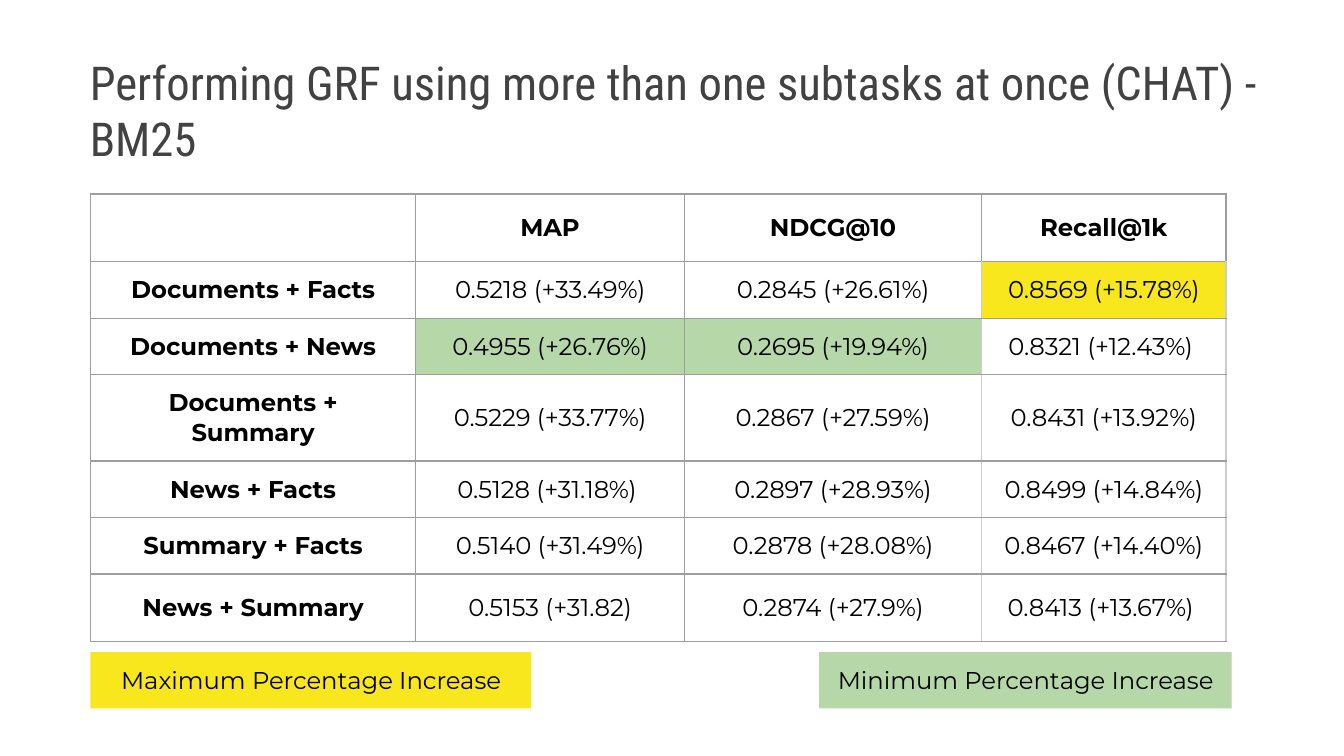
from lxml import etree
from pptx import Presentation
from pptx.dml.color import RGBColor
from pptx.enum.shapes import MSO_SHAPE
from pptx.enum.text import MSO_ANCHOR, PP_ALIGN
from pptx.oxml.ns import qn
from pptx.util import Inches, Pt

COLORS = {"text": "000000", "title": "424242", "max": "F8E71C", "min": "B6D7A8",
          "white": "FFFFFF", "line": "9E9E9E", "pale": "CCCCCC"}

# A 16:9 slide
prs = Presentation()
prs.slide_width = Inches(10)
prs.slide_height = prs.slide_width * 9 // 16
s = prs.slides.add_slide(prs.slide_layouts[6])

# Grid: the slide is 100 columns wide, and rows are as tall as columns are wide
U = prs.slide_width / 100
LEFT, TABLE_TOP, LEGEND_TOP, BAR_ROWS = 6.73, 14.43, 48.52, 4.2
PAD = int(U)


def write(tf, text, font="Montserrat", size=13, color="text", bold=False,
          align=PP_ALIGN.CENTER):
    tf.word_wrap = True
    tf.text = text
    p = tf.paragraphs[0]
    p.alignment = align
    for r in p.runs:
        r.font.name, r.font.size, r.font.bold = font, Pt(size), bold
        r.font.color.rgb = RGBColor.from_string(COLORS[color])


def set_border(cell, side, color):
    ln = etree.SubElement(cell._tc.get_or_add_tcPr(), qn("a:ln" + side), w=str(Pt(0.75)))
    fill = etree.SubElement(ln, qn("a:solidFill"))
    etree.SubElement(fill, qn("a:srgbClr"), val=COLORS[color])


# Results table
rows = [
    ["", "MAP", "NDCG@10", "Recall@1k"],
    ["Documents + Facts", "0.5218 (+33.49%)", "0.2845 (+26.61%)", "0.8569 (+15.78%)"],
    ["Documents + News", "0.4955 (+26.76%)", "0.2695 (+19.94%)", "0.8321 (+12.43%) "],
    ["Documents + Summary", "0.5229 (+33.77%)", "0.2867 (+27.59%)", "0.8431 (+13.92%)"],
    ["News + Facts", "0.5128 (+31.18%) ", "0.2897 (+28.93%)", "0.8499 (+14.84%)"],
    ["Summary + Facts", "0.5140 (+31.49%)", "0.2878 (+28.08%)", "0.8467 (+14.40%)"],
    ["News + Summary", "0.5153 (+31.82)", "0.2874 (+27.9%)", "0.8413 (+13.67%) "],
]
col_widths = [24.2, 20, 22.1, 18.2]
row_heights = [5, 4.17, 4.17, 6.3, 4.17, 4.17, 5]
fills = {(1, 3): "max", (2, 1): "min", (2, 2): "min",
         (3, 1): "white", (3, 2): "white", (3, 3): "white"}

table = s.shapes.add_table(len(rows), len(col_widths), int(LEFT * U), int(TABLE_TOP * U),
                           int(sum(col_widths) * U), int(sum(row_heights) * U)).table
table.first_row = table.horz_banding = False
for column, width in zip(table.columns, col_widths):
    column.width = int(width * U)
for row, height in zip(table.rows, row_heights):
    row.height = int(height * U)

for i, row in enumerate(rows):
    for j, text in enumerate(row):
        cell = table.cell(i, j)
        cell.margin_left = cell.margin_right = cell.margin_top = cell.margin_bottom = PAD
        cell.vertical_anchor = MSO_ANCHOR.MIDDLE
        if text:
            write(cell.text_frame, text, bold=i == 0 or j == 0)
        # The sides of the last column are paler below the header
        for side in "LRTB":
            pale = i > 0 and (side == "R" and j >= 2 or side == "L" and j == 3)
            set_border(cell, side, "pale" if pale else "line")
        if (i, j) in fills:
            cell.fill.solid()
            cell.fill.fore_color.rgb = RGBColor.from_string(COLORS[fills[i, j]])
        else:
            cell.fill.background()

# Title
sp = s.shapes.add_textbox(int(5.7 * U), int(3 * U), int(90.9 * U), int(6.2 * U))
tf = sp.text_frame
tf.margin_left = tf.margin_right = tf.margin_top = tf.margin_bottom = PAD
write(tf, "Performing GRF using more than one subtasks at once (CHAT) - BM25",
      "Roboto Condensed", 25, "title", align=PP_ALIGN.LEFT)

# Legend bars
for label, x, width, color in [("Maximum Percentage Increase", LEFT, 32.8, "max"),
                               ("Minimum Percentage Increase", 60.95, 30.7, "min")]:
    sp = s.shapes.add_shape(MSO_SHAPE.RECTANGLE, int(x * U), int(LEGEND_TOP * U),
                            int(width * U), int(BAR_ROWS * U))
    sp.shadow.inherit = False
    sp.fill.solid()
    sp.fill.fore_color.rgb = RGBColor.from_string(COLORS[color])
    sp.line.fill.background()
    tf = sp.text_frame
    tf.margin_left = tf.margin_right = tf.margin_top = tf.margin_bottom = PAD
    tf.vertical_anchor = MSO_ANCHOR.TOP
    write(tf, label)

prs.save("out.pptx")
